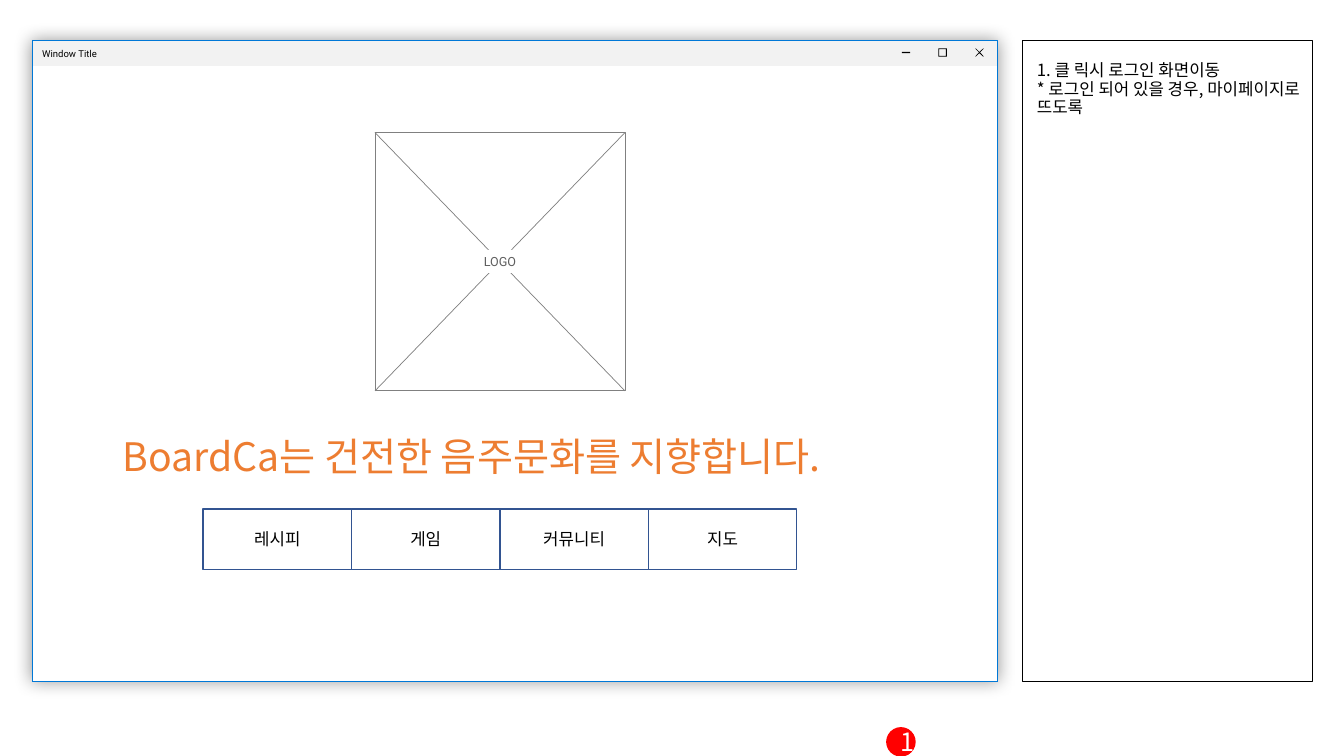
import pptx
import pptx.dml.color
import pptx.enum.shapes
import pptx.enum.text
import pptx.oxml
import pptx.oxml.ns
import pptx.util
from lxml import etree

Cm = pptx.util.Cm
Pt = pptx.util.Pt
RGBColor = pptx.dml.color.RGBColor
SHAPE = pptx.enum.shapes.MSO_SHAPE
ALIGN = pptx.enum.text.PP_ALIGN
ANCHOR = pptx.enum.text.MSO_ANCHOR
AUTO_SIZE = pptx.enum.text.MSO_AUTO_SIZE
qn = pptx.oxml.ns.qn

BLACK = RGBColor(0x00, 0x00, 0x00)
WHITE = RGBColor(0xFF, 0xFF, 0xFF)
RED = RGBColor(0xFF, 0x00, 0x00)
ORANGE = RGBColor(0xED, 0x7D, 0x31)
WINDOW_BLUE = RGBColor(0x00, 0x78, 0xD7)
BUTTON_BLUE = RGBColor(0x32, 0x54, 0x91)
BAR_GRAY = RGBColor(0xF2, 0xF2, 0xF2)
FRAME_GRAY = RGBColor(0x80, 0x80, 0x80)
LABEL_GRAY = RGBColor(0x5F, 0x5F, 0x5F)


class Wireframe:
    """Holds the slide and its fonts, and draws each kind of element."""

    korean_font = "Noto Sans CJK KR"
    interface_font = "Roboto"

    def __init__(self, slide):
        self.slide = slide

    def box(self, left, top, width, height, fill=None, line=None,
            line_width=0.5, kind=SHAPE.RECTANGLE):
        shape = self.slide.shapes.add_shape(
            kind, Cm(left), Cm(top), Cm(width), Cm(height))
        self.paint(shape, fill, line, line_width)
        return shape

    def paint(self, shape, fill, line=None, line_width=0.5):
        shape.shadow.inherit = False
        if fill is None:
            shape.fill.background()
        else:
            shape.fill.solid()
            shape.fill.fore_color.rgb = fill
        if line is None:
            shape.line.fill.background()
        else:
            shape.line.color.rgb = line
            shape.line.width = Pt(line_width)

    def glow(self, shape):
        effects = shape._element.spPr.find(qn("a:effectLst"))
        shadow = etree.SubElement(effects, qn("a:outerShdw"),
                                  blurRad=str(Pt(12)), dist="0", algn="ctr")
        color = etree.SubElement(shadow, qn("a:srgbClr"), val="000000")
        etree.SubElement(color, qn("a:alpha"), val="40000")

    def label(self, shape, text, size, color, font=None, align=ALIGN.CENTER,
              anchor=ANCHOR.MIDDLE, spacing=None):
        font = font or self.korean_font
        shape.text_frame.vertical_anchor = anchor
        paragraph = shape.text_frame.paragraphs[0]
        paragraph.text = text
        paragraph.alignment = align
        paragraph.line_spacing = spacing
        for run in paragraph.runs:
            run.font.name = font
            run.font.size = Pt(size)
            run.font.color.rgb = color
            east_asian = etree.SubElement(run.font._element, qn("a:ea"))
            east_asian.set("typeface", font)

    def text_box(self, left, top, width, height, wrap=True):
        shape = self.slide.shapes.add_textbox(
            Cm(left), Cm(top), Cm(width), Cm(height))
        shape.text_frame.word_wrap = wrap
        if not wrap:
            shape.text_frame.auto_size = AUTO_SIZE.SHAPE_TO_FIT_TEXT
        return shape

    def line(self, x1, y1, x2, y2, color, width):
        connector = self.slide.shapes.add_connector(
            pptx.enum.shapes.MSO_CONNECTOR.STRAIGHT,
            Cm(x1), Cm(y1), Cm(x2), Cm(y2))
        connector.line.color.rgb = color
        connector.line.width = Pt(width)
        etree.SubElement(connector._element.spPr, qn("a:effectLst"))

    def glyph(self, left, top, contours, color):
        """Fill contours given in hundredths of a centimetre."""
        first, *others = contours
        builder = self.slide.shapes.build_freeform(*first[0], scale=Cm(0.01))
        builder.add_line_segments(first[1:], close=True)
        for contour in others:
            builder.move_to(*contour[0])
            builder.add_line_segments(contour[1:], close=True)
        shape = builder.convert_to_shape(Cm(left), Cm(top))
        self.paint(shape, color)


def main():
    presentation = pptx.Presentation()
    presentation.slide_width = Cm(33.87)
    presentation.slide_height = Cm(19.05)
    slide = presentation.slides.add_slide(presentation.slide_layouts[6])
    wireframe = Wireframe(slide)

    # Notes panel and window
    top, panel_height = 1.02, 16.15
    window = (0.81, top, 24.33, panel_height)
    wireframe.box(25.76, top, 7.32, panel_height, line=BLACK, line_width=0.75)
    wireframe.glow(wireframe.box(*window, fill=WHITE, line=WINDOW_BLUE))
    title_bar = wireframe.box(0.81, top, 24.33, 0.64, fill=BAR_GRAY)
    title_bar.text_frame.margin_top = Cm(0.15)
    wireframe.label(title_bar, "Window Title", 6.8, BLACK,
                    wireframe.interface_font, ALIGN.LEFT)

    # Window controls: minimize, maximize, close
    wireframe.box(22.73, 1.31, 0.21, 0.03, fill=BLACK)
    wireframe.glyph(23.65, 1.22, [
        [(0, 0), (0, 21), (21, 21), (21, 0)],
        [(2, 2), (19, 2), (19, 19), (2, 19)]], BLACK)
    wireframe.glyph(24.58, 1.22, [
        [(1, 0), (0, 1), (9, 10.5), (0, 20), (1, 21), (10.5, 12), (20, 21),
         (21, 20), (12, 10.5), (21, 1), (20, 0), (10.5, 9)]], BLACK)
    wireframe.box(*window, line=WINDOW_BLUE)

    # Notes
    notes = wireframe.text_box(25.88, 1.45, 7.32, panel_height)
    wireframe.label(
        notes, "1. 클 릭시 로그인 화면이동\n* 로그인 되어 있을 경우, 마이페이지로 뜨도록",
        12, BLACK, align=ALIGN.LEFT, anchor=ANCHOR.TOP, spacing=0.9)

    # Menu buttons
    button_width = 3.74
    for index, name in enumerate(["레시피", "게임", "커뮤니티", "지도"]):
        button = wireframe.box(5.12 + index * button_width, 12.83,
                               button_width, 1.52, WHITE, BUTTON_BLUE, 1)
        wireframe.label(button, name, 12, BLACK)

    # Numbered marker
    marker = wireframe.box(22.35, 18.34, 0.71, 0.71, RED, RED, 1, SHAPE.OVAL)
    wireframe.label(marker, "1", 18, WHITE)

    # Slogan
    slogan = wireframe.text_box(2.84, 10.77, 19.53, 1.45, wrap=False)
    wireframe.label(slogan, "BoardCa는 건전한 음주문화를 지향합니다.", 28, ORANGE,
                    align=ALIGN.LEFT, anchor=ANCHOR.TOP)

    # Crossed placeholder
    left, right, upper, lower = 9.45, 15.75, 3.34, 9.85
    wireframe.box(left, upper, right - left, lower - upper, WHITE, FRAME_GRAY)
    wireframe.line(left, lower, right, upper, FRAME_GRAY, 0.5)
    wireframe.line(right, lower, left, upper, FRAME_GRAY, 0.5)
    caption = wireframe.box(11.18, 6.3, 2.84, 0.58, WHITE)
    caption.text_frame.word_wrap = False
    caption.text_frame.margin_top = caption.text_frame.margin_bottom = Cm(0.1)
    wireframe.label(caption, "LOGO", 9, LABEL_GRAY, wireframe.interface_font)

    presentation.save("out.pptx")


if __name__ == "__main__":
    main()
